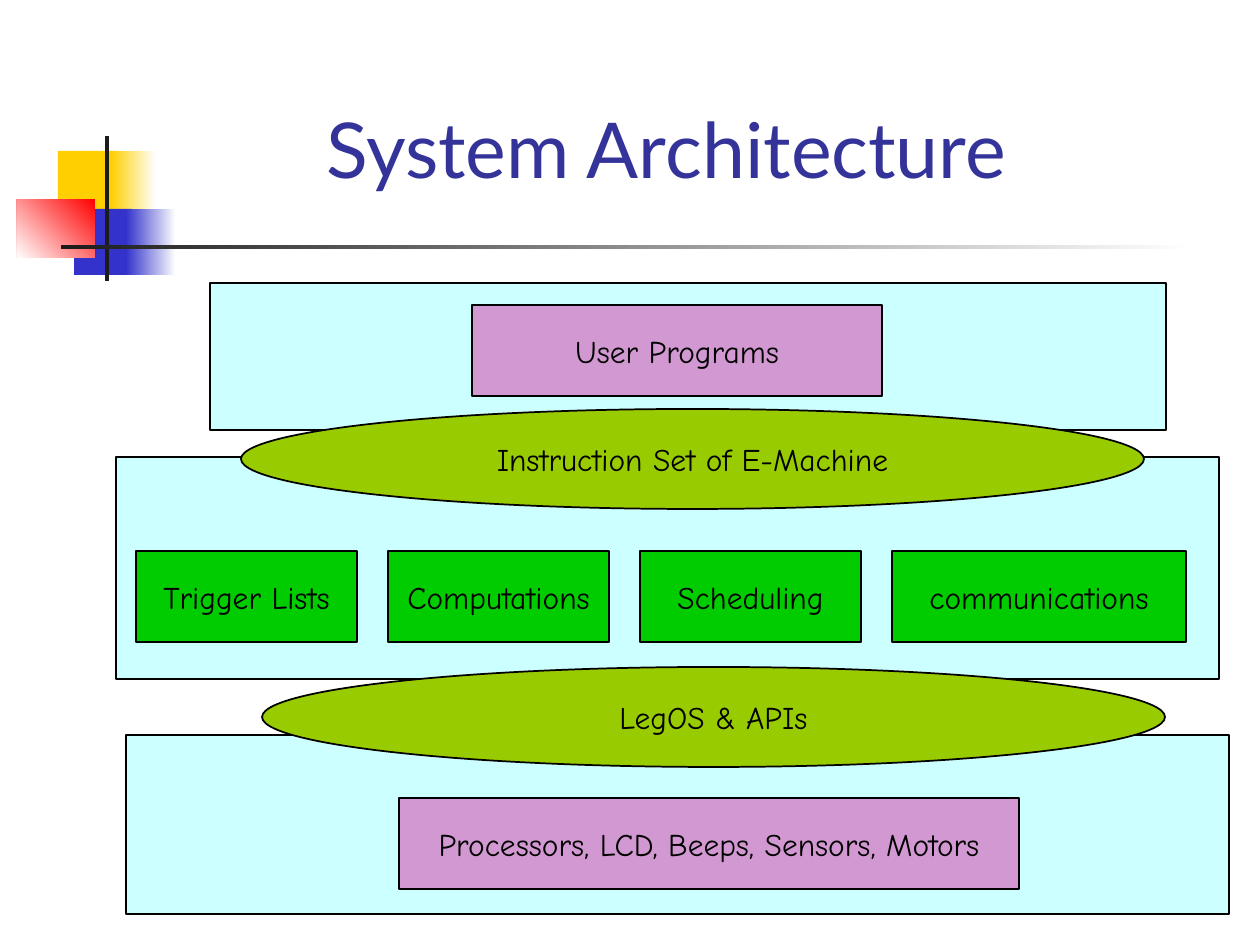
from pptx import Presentation, util as u
from pptx.dml.color import RGBColor
from pptx.enum import shapes, text

SCALE = u.Inches(1) / 126
COLORS = {
    "white": "FFFFFF", "black": "000000", "charcoal": "1C1C1C",
    "yellow": "FFCF01", "blue": "3333CC", "red": "FF0000", "title": "333399",
    "layer": "CCFFFF", "module": "00CC00", "endpoint": "D298D1", "interface": "99CC00",
}
RECT = shapes.MSO_SHAPE.RECTANGLE
OVAL = shapes.MSO_SHAPE.OVAL


def color(name):
    return RGBColor.from_string(COLORS[name])


def add_block(page, kind, bounds, fill):
    block = page.shapes.add_shape(kind, *[u.Emu(round(n * SCALE)) for n in bounds])
    block.shadow.inherit = False
    block.fill.solid()
    block.fill.fore_color.rgb = color(fill)
    block.line.fill.background()
    return block


deck = Presentation()
deck.slide_width = u.Inches(10)
deck.slide_height = u.Inches(7.5)
page = deck.slides.add_slide(deck.slide_layouts[6])

ornaments = [
    ((58, 151, 60, 66), "yellow", None, 0),
    ((111, 151, 45, 66), "white", "yellow", 180),
    ((74, 209, 58, 66), "blue", None, 0),
    ((126, 209, 50, 66), "white", "blue", 180),
    ((17, 199, 78, 59), "red", "white", 225),
    ((105, 136, 4, 145), "charcoal", None, 0),
    ((61, 245, 1134, 4), "white", "charcoal", 180),
]
for bounds, start, end, angle in ornaments:
    ornament = add_block(page, RECT, bounds, start)
    if end:
        ornament.fill.gradient()
        ornament.fill.gradient_angle = angle
        for stop, name in zip(ornament.fill.gradient_stops, (start, end)):
            stop.color.rgb = color(name)

title = page.shapes.add_textbox(*[u.Emu(round(n * SCALE)) for n in (262, 84, 809, 116)])
title.text_frame.word_wrap = True
title.text_frame.vertical_anchor = text.MSO_ANCHOR.BOTTOM
para = title.text_frame.paragraphs[0]
para.text = "System Architecture"
para.alignment = text.PP_ALIGN.CENTER
para.font.name = "Lato"
para.font.size = u.Pt(44)
para.font.color.rgb = color("title")

modules = [
    (RECT, (136 + 252 * column, 551, width, 91), "module", label)
    for column, (label, width) in enumerate([
        ("Trigger Lists", 221), ("Computations", 221),
        ("Scheduling", 221), ("communications", 294),
    ])
]
blocks = [
    (RECT, (126, 735, 1103, 179), "layer", ""),
    (RECT, (116, 457, 1103, 222), "layer", ""),
    (RECT, (399, 798, 620, 91), "endpoint", "Processors, LCD, Beeps, Sensors, Motors"),
    *modules,
    (RECT, (210, 283, 956, 147), "layer", ""),
    (RECT, (472, 305, 410, 91), "endpoint", "User Programs"),
    (OVAL, (241, 409, 903, 100), "interface", "Instruction Set of E-Machine"),
    (OVAL, (262, 667, 903, 100), "interface", "LegOS & APIs"),
]
for kind, bounds, fill, label in blocks:
    block = add_block(page, kind, bounds, fill)
    block.line.color.rgb = color("black")
    block.line.width = u.Pt(1)
    if label:
        frame = block.text_frame
        frame.word_wrap = False
        frame.vertical_anchor = text.MSO_ANCHOR.MIDDLE
        para = frame.paragraphs[0]
        para.text = label
        para.alignment = text.PP_ALIGN.CENTER
        para.font.name = "Comic Neue"
        para.font.size = u.Pt(18)
        para.font.color.rgb = color("black")

deck.save("out.pptx")
